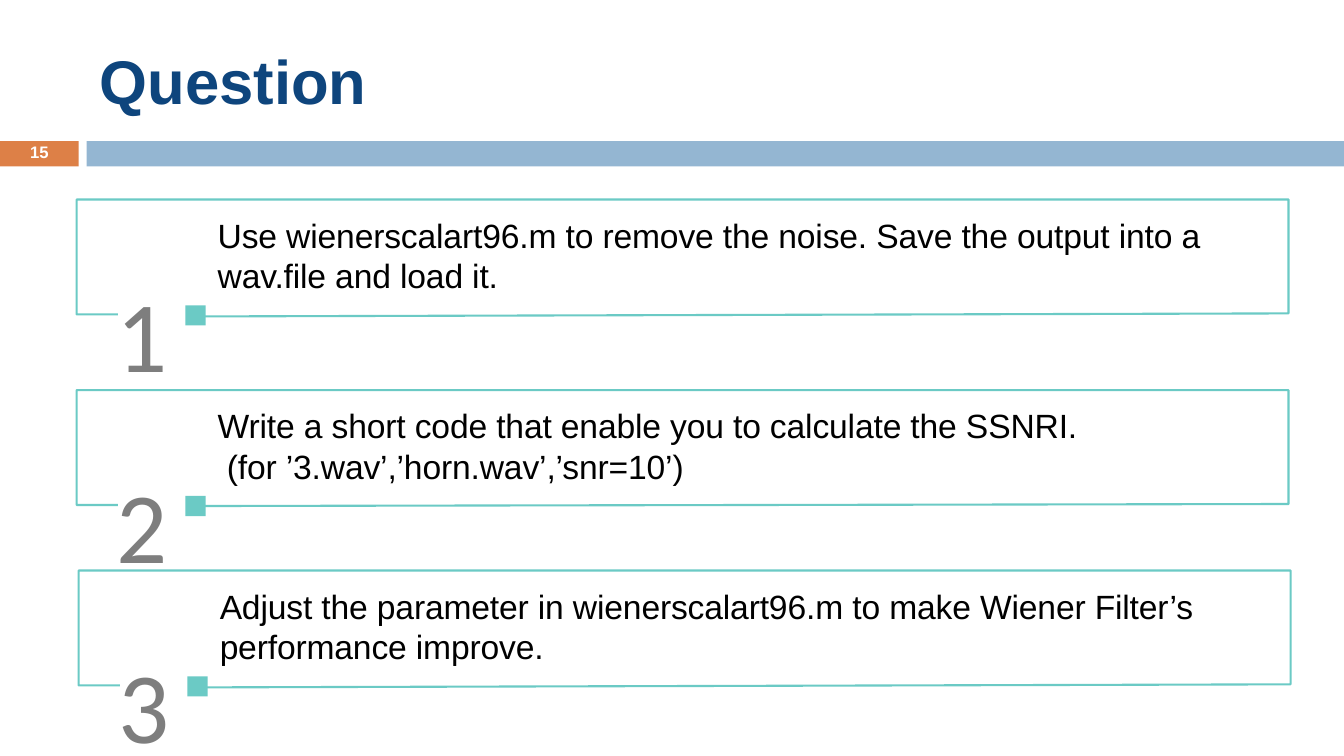
from pptx import Presentation
from pptx.dml.color import RGBColor
from pptx.enum.shapes import MSO_SHAPE
from pptx.enum.text import MSO_ANCHOR, PP_ALIGN
from pptx.util import Inches, Pt

SLIDE_WIDTH, SLIDE_HEIGHT = 13.33, 7.5
NAVY, ORANGE, BLUE, TEAL = "0E457D", "DD8047", "94B6D2", "6BCAC5"
GRAY, BLACK, WHITE = "7E7E7E", "000000", "FFFFFF"

TITLE_FORMAT = {"name": "Arial", "size": Pt(44), "bold": True}
PAGE_FORMAT = {"name": "Arial", "size": Pt(11.9), "bold": True}
NUMBER_FORMAT = {"name": "Calibri", "size": Pt(72)}
QUESTION_FORMAT = {"name": "Arial", "size": Pt(24)}

CARD_WIDTH, CARD_HEIGHT = 12.02, 1.14
# Left edge, top edge, start of the lower line from the left, its drop, text
QUESTIONS = [
    (0.76, 1.98, 1.19, 0.02,
     "Use wienerscalart96.m to remove the noise. "
     "Save the output into a wav.file and load it."),
    (0.76, 3.87, 1.23, 0.01,
     "Write a short code that enable you to calculate the SSNRI.\v"
     " (for ’3.wav’,’horn.wav’,’snr=10’)"),
    (0.78, 5.66, 1.23, 0.02,
     "Adjust the parameter in wienerscalart96.m "
     "to make Wiener Filter’s performance improve."),
]


def color(hex_string):
    return RGBColor.from_string(hex_string)


def add_block(slide, box, fill):
    """Add a plain filled rectangle without outline."""
    shape = slide.shapes.add_shape(MSO_SHAPE.RECTANGLE, *map(Inches, box))
    shape.shadow.inherit = False
    shape.fill.solid()
    shape.fill.fore_color.rgb = color(fill)
    shape.line.fill.background()


def add_text(slide, box, text, text_color, font_format, inset=None,
             anchor=MSO_ANCHOR.TOP, spacing=0, **paragraph_format):
    """Add a text box; spacing is in hundredths of a point."""
    frame = slide.shapes.add_textbox(*map(Inches, box)).text_frame
    frame.word_wrap = True
    frame.vertical_anchor = anchor
    if inset is not None:
        for side in ("left", "top", "right", "bottom"):
            setattr(frame, f"margin_{side}", Inches(inset))
    paragraph = frame.paragraphs[0]
    paragraph.text = text
    for name, value in paragraph_format.items():
        setattr(paragraph, name, value)
    for run in paragraph.runs:
        for name, value in font_format.items():
            setattr(run.font, name, value)
        run.font.color.rgb = color(text_color)
        if spacing:
            run._r.get_or_add_rPr().set("spc", str(spacing))


def add_header(slide, box):
    """Place the title above a band that holds the page number."""
    left, top, width, height = box
    band_top, band_height = top + 1.4, height - 1.4
    page_width, band_left = 0.78, 0.86
    add_block(slide, (left, band_top, page_width, band_height), ORANGE)
    add_block(slide, (left + band_left, band_top, width - band_left, band_height), BLUE)
    add_text(slide, (left + 0.89, top + 0.25, 11.89, 1.08), "Question", NAVY,
             TITLE_FORMAT, anchor=MSO_ANCHOR.MIDDLE)
    add_text(slide, (left, band_top - 0.01, page_width, 0.27), "15", WHITE, PAGE_FORMAT,
             anchor=MSO_ANCHOR.MIDDLE, alignment=PP_ALIGN.CENTER, line_spacing=0.8)


def add_question(slide, box, number, text, line_start, line_drop):
    """Place an open frame with its text, number and square marker."""
    left, top, width, height = box
    right, bottom = left + width, top + height
    add_block(slide, (left + 1.08, top + 1.05, 0.2, 0.2), TEAL)
    add_text(slide, (left + 0.4, top + 0.72, 0.53, 1.21), str(number), GRAY,
             NUMBER_FORMAT, inset=0, spacing=-40)
    add_text(slide, (left + 1.4, top + 0.15, 10.34, 0.81), text, BLACK,
             QUESTION_FORMAT, inset=0, spacing=-10)
    corners = [(left, bottom), (left, top), (right, top), (right, bottom - 0.01),
               (left + line_start, bottom + line_drop)]
    builder = slide.shapes.build_freeform(
        Inches(left + 0.41), Inches(bottom), scale=1.0)
    builder.add_line_segments(
        [(Inches(x), Inches(y)) for x, y in corners], close=False)
    frame = builder.convert_to_shape()
    frame.shadow.inherit = False
    frame.fill.background()
    frame.line.color.rgb = color(TEAL)
    frame.line.width = Pt(1.5)


def main():
    presentation = Presentation()
    presentation.slide_width = Inches(SLIDE_WIDTH)
    presentation.slide_height = Inches(SLIDE_HEIGHT)
    slide = presentation.slides.add_slide(presentation.slide_layouts[6])
    add_header(slide, (0, 0, SLIDE_WIDTH, 1.65))
    for number, (left, top, line_start, line_drop, text) in enumerate(QUESTIONS, 1):
        add_question(slide, (left, top, CARD_WIDTH, CARD_HEIGHT), number, text,
                     line_start, line_drop)
    presentation.save("out.pptx")


if __name__ == "__main__":
    main()
